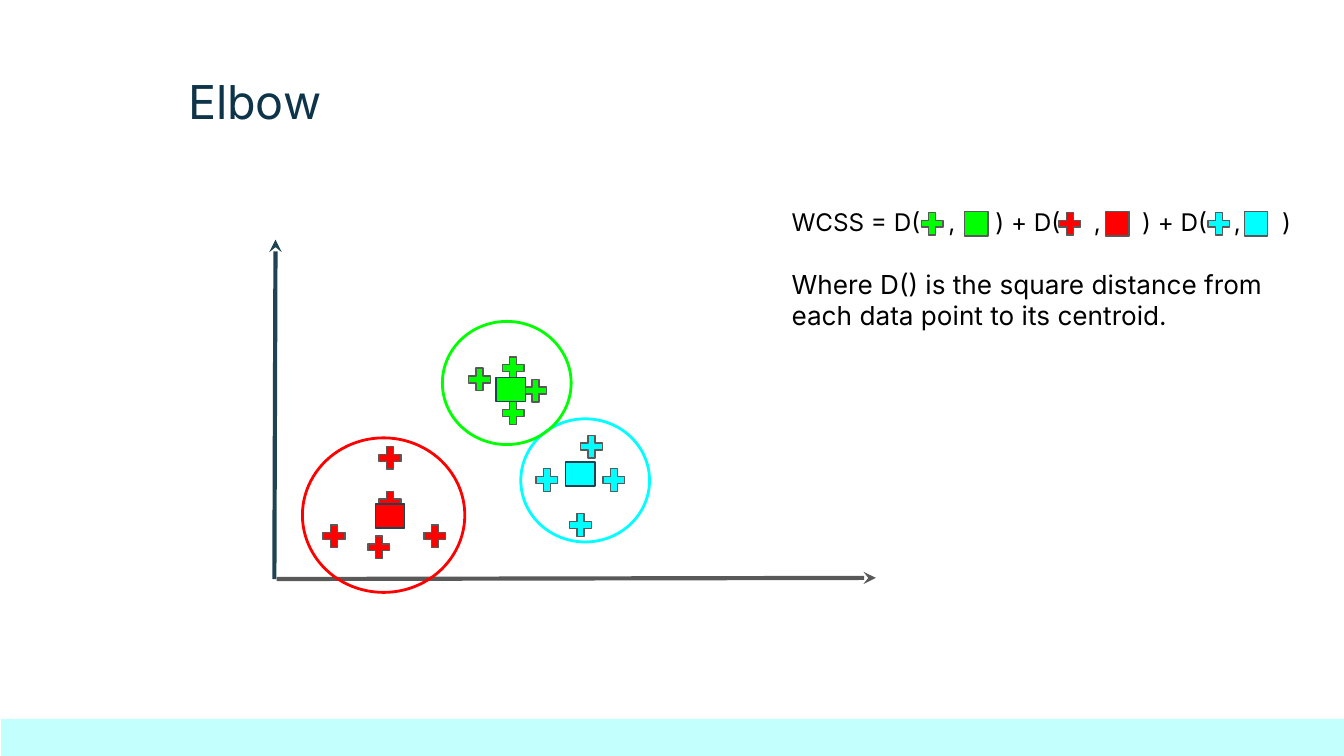
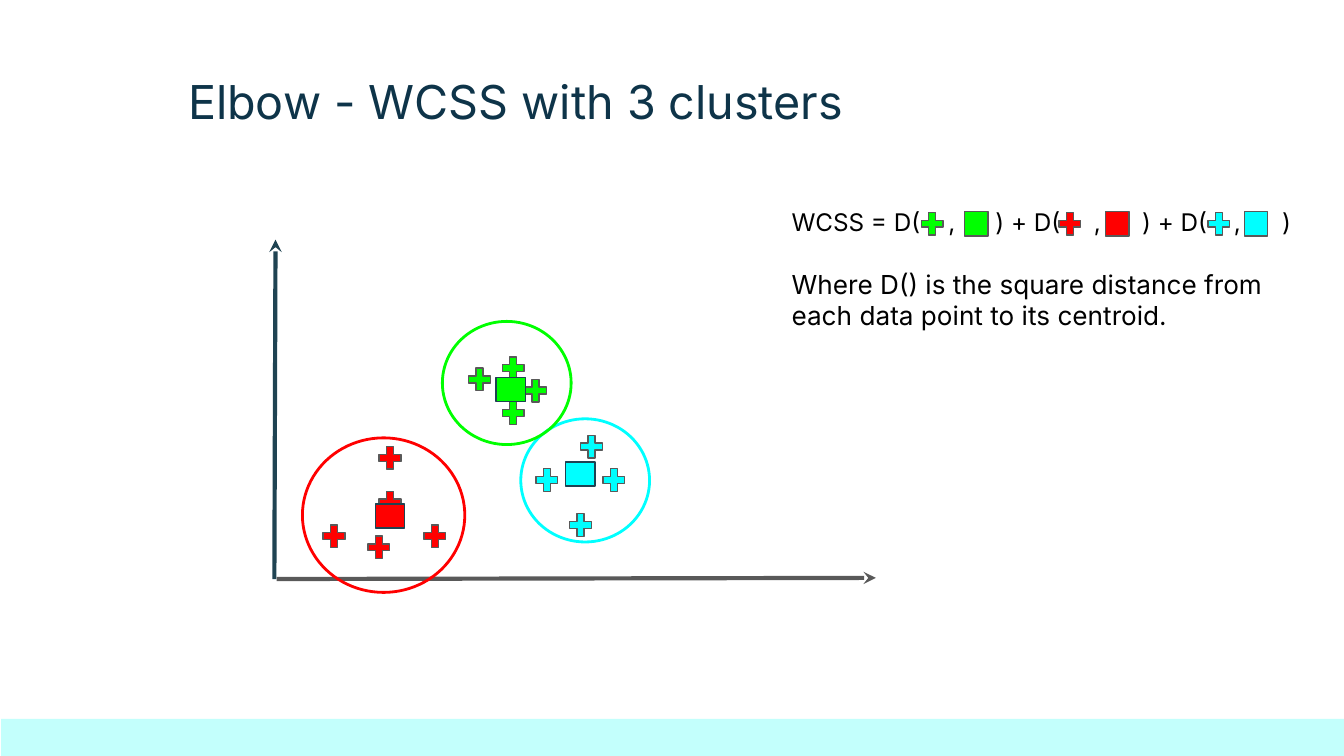
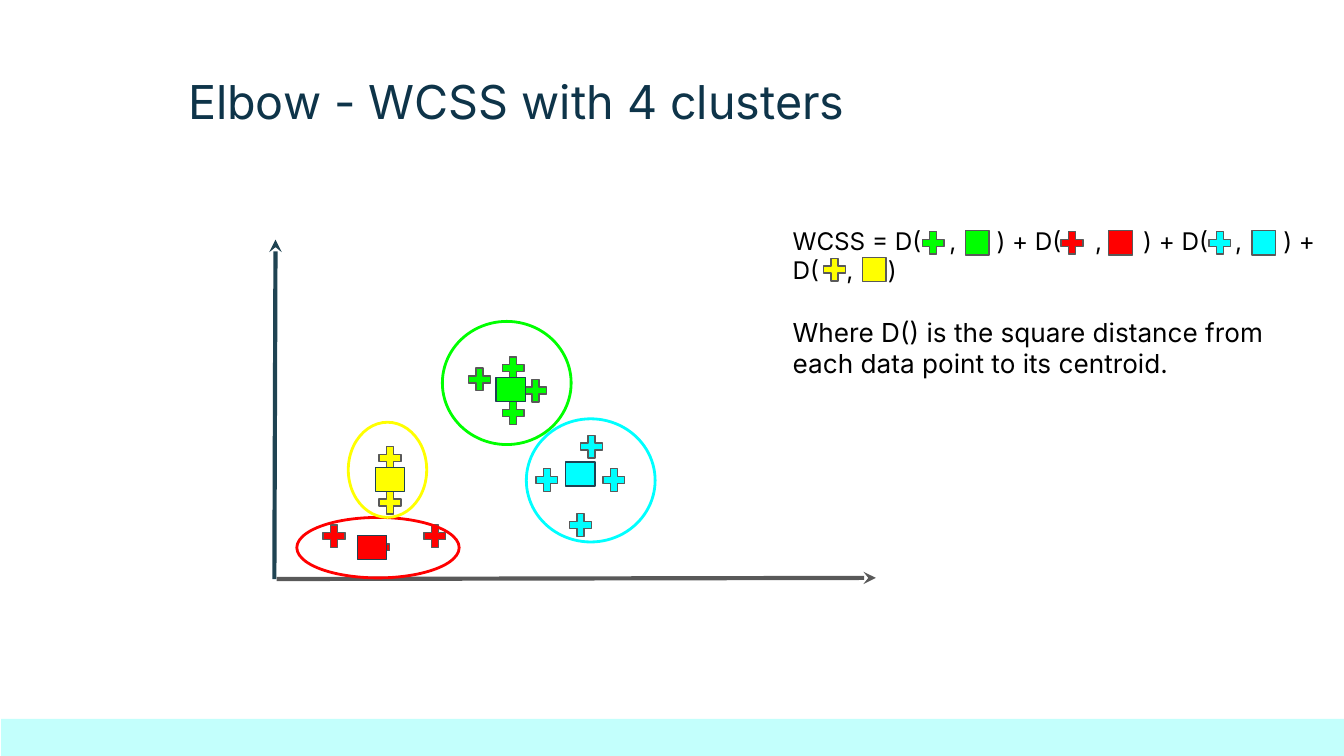
from lxml.etree import SubElement
from pptx import Presentation
from pptx.dml.color import RGBColor
from pptx.enum.shapes import MSO_CONNECTOR as Connector, MSO_SHAPE as Shape
from pptx.enum.text import MSO_ANCHOR as Anchor, MSO_AUTO_SIZE as AutoSize, PP_ALIGN as Align
from pptx.oxml.ns import qn
from pptx.util import Inches, Pt

COLORS = {
    "title": "0E3449", "text": "000000", "band": "C3FFFC",
    "navy": "1F4352", "grey": "595959",
    "red": "FF0000", "cyan": "00FFFF", "green": "00FF00", "yellow": "FFFF00",
}
FONT = "Inter"
CELLS_PER_INCH = 12
COLS, ROWS = 120, 67.5
PLUS = (2.64, 2.76)
CENTROID = (2.64, 2.16)
KEY_SQUARE = (2.1, 2.16)
TAB_COLS = (4.8, 8.5, 14, 18.2, 27, 31.3, 39.5, 43.8)
EXPLANATION = "Where D() is the square distance from each data point to its centroid."


def cells(*values):
    return [Inches(v / CELLS_PER_INCH) for v in values]


def rgb(name):
    return RGBColor.from_string(COLORS[name])


class Deck:
    def __init__(self):
        self.prs = Presentation()
        self.prs.slide_width, self.prs.slide_height = cells(COLS, ROWS)
        self.s = None

    def slide(self, title):
        self.s = self.prs.slides.add_slide(self.prs.slide_layouts[5])
        sp = self.s.shapes.title
        sp.left, sp.top, sp.width, sp.height = cells(15.6, 5.3, 69.7, 7)
        tf = self.frame(sp)
        tf.text = title
        tf.paragraphs[0].alignment = Align.LEFT
        self.font(tf.paragraphs[0], 25, "title")
        self.shape(Shape.RECTANGLE, (0.1, 64.2), (COLS, 3.3), "band")

    def frame(self, sp):
        tf = sp.text_frame
        tf.word_wrap = True
        tf.auto_size = AutoSize.NONE
        tf.vertical_anchor = Anchor.TOP
        tf.margin_left = tf.margin_top = tf.margin_right = tf.margin_bottom = Inches(0.1)
        return tf

    def font(self, p, size, color):
        p.font.name = FONT
        p.font.size = Pt(size)
        p.font.bold = False
        p.font.color.rgb = rgb(color)

    def shape(self, kind, at, size, fill=None, line=None, width=0.75):
        sp = self.s.shapes.add_shape(kind, *cells(*at, *size))
        sp.shadow.inherit = False
        if fill:
            sp.fill.solid()
            sp.fill.fore_color.rgb = rgb(fill)
        else:
            sp.fill.background()
        if line:
            sp.line.color.rgb = rgb(line)
            sp.line.width = Pt(width)
        else:
            sp.line.fill.background()

    def arrow(self, start, end, color):
        c = self.s.shapes.add_connector(Connector.STRAIGHT, *cells(*start, *end))
        c.line.color.rgb = rgb(color)
        c.line.width = Pt(2.25)
        SubElement(c.line._get_or_add_ln(), qn("a:tailEnd"), type="stealth")
        SubElement(c._element.spPr, qn("a:effectLst"))

    def plus(self, at, color):
        self.shape(Shape.MATH_PLUS, at, PLUS, color, "grey")

    def plot(self, clusters):
        self.arrow((24.5, 51.7), (24.6, 21.4), "navy")
        self.arrow((24.7, 51.7), (78.2, 51.6), "grey")
        for color, (points, _, _, _) in clusters.items():
            for at in points:
                self.plus(at, color)
        for color, (_, centroid, _, _) in clusters.items():
            self.shape(Shape.RECTANGLE, centroid, CENTROID, color, "navy")
        for color, (_, _, at, size) in clusters.items():
            self.shape(Shape.OVAL, at, size, line=color, width=1.5)

    def formula(self, at, keys):
        left, top = at
        sp = self.s.shapes.add_textbox(*cells(left, top, 49.4, 7))
        tf = self.frame(sp)
        p = tf.paragraphs[0]
        p.text = "WCSS = " + " + ".join(["D(\t,\t)"] * len(keys))
        tabs = SubElement(p._p.get_or_add_pPr(), qn("a:tabLst"))
        for pos in cells(*TAB_COLS):
            SubElement(tabs, qn("a:tab"), pos=str(int(pos)), algn="l")
        self.font(p, 13, "text")
        p = tf.add_paragraph()
        p.text = EXPLANATION
        p.space_before = Pt(17)
        self.font(p, 14, "text")
        for color, (plus_col, square_col, row) in keys.items():
            self.plus((left + plus_col, top + row), color)
            self.shape(Shape.RECTANGLE, (left + square_col, top + row + 0.3),
                       KEY_SQUARE, color, "grey")


RED_LOW = [(28.5, 46.5), (32.5, 47.5), (37.5, 46.5)]
RED_HIGH = [(33.5, 43.5), (33.5, 39.5)]
CYAN = [(53.5, 41.5), (50.5, 45.5), (47.5, 41.5), (51.5, 38.5)]
GREEN = [(41.5, 32.5), (44.5, 35.5), (44.5, 31.5), (46.5, 33.5)]
ROUND = (11.5, 11)
GREEN_CLUSTER = (GREEN, (44.3, 33.7), (39.5, 28.7), ROUND)

THREE = {
    "red": (RED_LOW + RED_HIGH, (33.5, 45), (27, 39.1), (14.5, 13.8)),
    "cyan": (CYAN, (50.5, 41.25), (46.5, 37.4), ROUND),
    "green": GREEN_CLUSTER,
}
FOUR = {
    "red": (RED_LOW, (31.9, 47.8), (26.5, 46.2), (14.5, 5.4)),
    "cyan": (CYAN, (50.5, 41.25), (47, 37.4), ROUND),
    "green": GREEN_CLUSTER,
    "yellow": (RED_HIGH, (33.5, 41.75), (31.1, 37.7), (7, 8.5)),
}
THREE_KEYS = {"green": (12.4, 16.6, 1.3), "red": (24.7, 29.2, 1.3), "cyan": (38, 41.6, 1.3)}
FOUR_KEYS = {
    "green": (12.4, 16.6, 1.3), "red": (24.8, 29.4, 1.3), "cyan": (38, 42.2, 1.3),
    "yellow": (3.6, 7.4, 3.7),
}


def main():
    deck = Deck()
    for title, clusters, at, keys in (
        ("Elbow", THREE, (69.5, 17.3), THREE_KEYS),
        ("Elbow - WCSS with 3 clusters", THREE, (69.5, 17.3), THREE_KEYS),
        ("Elbow - WCSS with 4 clusters", FOUR, (69.6, 19), FOUR_KEYS),
    ):
        deck.slide(title)
        deck.plot(clusters)
        deck.formula(at, keys)
    deck.prs.save("out.pptx")


if __name__ == "__main__":
    main()
